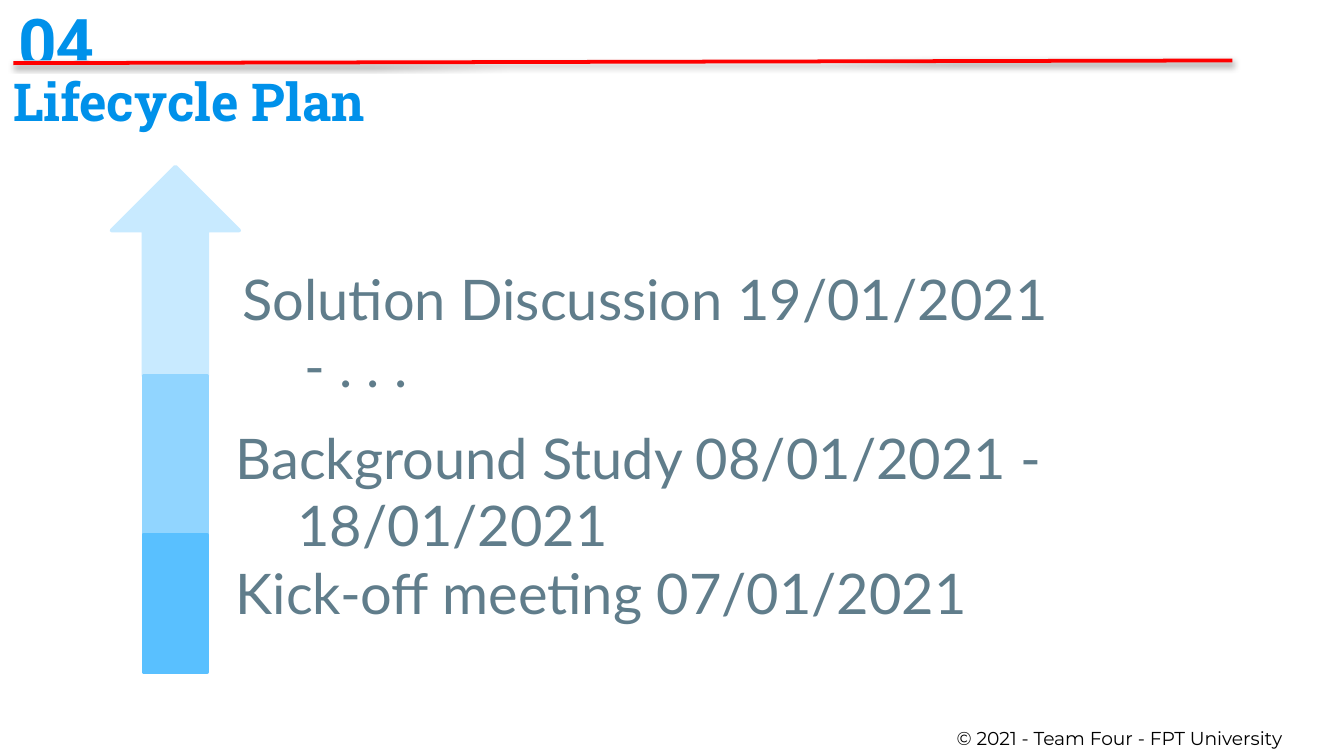
from collections import namedtuple

from lxml import etree
from pptx import Presentation
from pptx.dml.color import RGBColor
from pptx.enum.shapes import MSO_CONNECTOR, MSO_SHAPE
from pptx.enum.text import MSO_ANCHOR, PP_ALIGN
from pptx.oxml.ns import qn
from pptx.util import Inches, Pt

RECTANGLE = MSO_SHAPE.RECTANGLE
UP_ARROW = MSO_SHAPE.UP_ARROW
STRAIGHT = MSO_CONNECTOR.STRAIGHT
TOP, BOTTOM = MSO_ANCHOR.TOP, MSO_ANCHOR.BOTTOM
LEFT = PP_ALIGN.LEFT

WHITE = RGBColor(0xFF, 0xFF, 0xFF)
BLACK = RGBColor(0x00, 0x00, 0x00)
RED = RGBColor(0xFF, 0x00, 0x00)
BLUE = RGBColor(0x00, 0x91, 0xEA)
SLATE = RGBColor(0x60, 0x7D, 0x8B)
PALE_BLUE = RGBColor(0xC8, 0xEA, 0xFF)
LIGHT_BLUE = RGBColor(0x91, 0xD5, 0xFF)
SKY_BLUE = RGBColor(0x59, 0xC0, 0xFF)

COLUMNS, ROWS = 100, 56.25
CELL = 0.1
Area = namedtuple("Area", "left top width height")


def cells(count):
    return Inches(count * CELL)


def place(area):
    return [cells(length) for length in area]


def write(box, text, font, size, color, bold=False, anchor=TOP, inset=1, hanging=False):
    frame = box.text_frame
    frame.word_wrap = True
    frame.vertical_anchor = anchor
    frame.margin_left = frame.margin_right = cells(1)
    frame.margin_top = frame.margin_bottom = cells(inset)
    para = frame.paragraphs[0]
    para.alignment = LEFT
    if hanging:
        properties = para._p.get_or_add_pPr()
        properties.set("marL", str(cells(5)))
        properties.set("indent", str(-cells(4.6)))
    span = para.add_run()
    span.text = text
    span.font.name = font
    span.font.size = Pt(size)
    span.font.bold = bold
    span.font.color.rgb = color


def add_text(page, area, text, **style):
    write(page.shapes.add_textbox(*place(area)), text, **style)


def add_block(page, area, kind, fill, outlined=True):
    block = page.shapes.add_shape(kind, *place(area))
    block.shadow.inherit = False
    block.fill.solid()
    block.fill.fore_color.rgb = fill
    if outlined:
        block.line.color.rgb = fill
        block.line.width = Pt(2)
    else:
        block.line.fill.background()
    return block


def add_shadow(line):
    effects = etree.SubElement(line._element.spPr, qn("a:effectLst"))
    shadow = etree.SubElement(effects, qn("a:outerShdw"), blurRad=str(Pt(3.1)),
                              dist=str(Pt(1.6)), dir="5400000", rotWithShape="0")
    color = etree.SubElement(shadow, qn("a:srgbClr"), val=str(BLACK))
    etree.SubElement(color, qn("a:alpha"), val="38000")


def add_header(page, area):
    heading = dict(font="Roboto Slab", color=BLUE, bold=True, anchor=BOTTOM)
    add_text(page, Area(area.left + 0.4, area.top, 7.9, 7), "04", size=36, **heading)
    band = Area(area.left, area.top + 4.5, area.width, area.height - 4.5)
    title = add_block(page, band, RECTANGLE, WHITE, outlined=False)
    write(title, "Lifecycle Plan", size=28, **heading)
    rule = page.shapes.add_connector(
        STRAIGHT, cells(area.left + 1), cells(band.top + 0.2),
        cells(area.left + 91.7), cells(band.top))
    rule.line.color.rgb = RED
    rule.line.width = Pt(2)
    add_shadow(rule)


def add_timeline(page, area):
    stem = Area(area.left + area.width / 4, area.top, area.width / 2, area.height)
    stages = [
        (UP_ARROW, PALE_BLUE, area, 15.6),
        (RECTANGLE, LIGHT_BLUE, stem, 11.8),
        (RECTANGLE, SKY_BLUE, stem, 10.2),
    ]
    top = area.top
    for kind, fill, column, height in stages:
        add_block(page, Area(column.left, top, column.width, height), kind, fill)
        top += height


def add_milestones(page, area):
    milestones = [
        ("Solution Discussion 19/01/2021 - . . .", 0.5, 0, 63.8),
        ("Background Study 08/01/2021 - 18/01/2021", 0, 11.8, area.width),
        ("Kick-off meeting 07/01/2021", 0, 21.9, 63.8),
    ]
    for text, shift, drop, width in milestones:
        add_text(page, Area(area.left + shift, area.top + drop, width, 8.6), text,
                 font="Lato", size=30, color=SLATE, hanging=True)


def add_footer(page, area):
    add_text(page, area, "© 2021 - Team Four - FPT University",
             font="Montserrat", size=10, color=BLACK, inset=0.5)


def main():
    deck = Presentation()
    deck.slide_width, deck.slide_height = cells(COLUMNS), cells(ROWS)
    page = deck.slides.add_slide(deck.slide_layouts[6])
    add_header(page, Area(0, 0, 97.1, 10.8))
    add_timeline(page, Area(8.3, 12.4, 9.5, 37.6))
    add_milestones(page, Area(16.15, 18.7, 80.7, 30.5))
    add_footer(page, Area(70.2, 53.6, 29.8, 2.7))
    deck.save("out.pptx")


if __name__ == "__main__":
    main()
